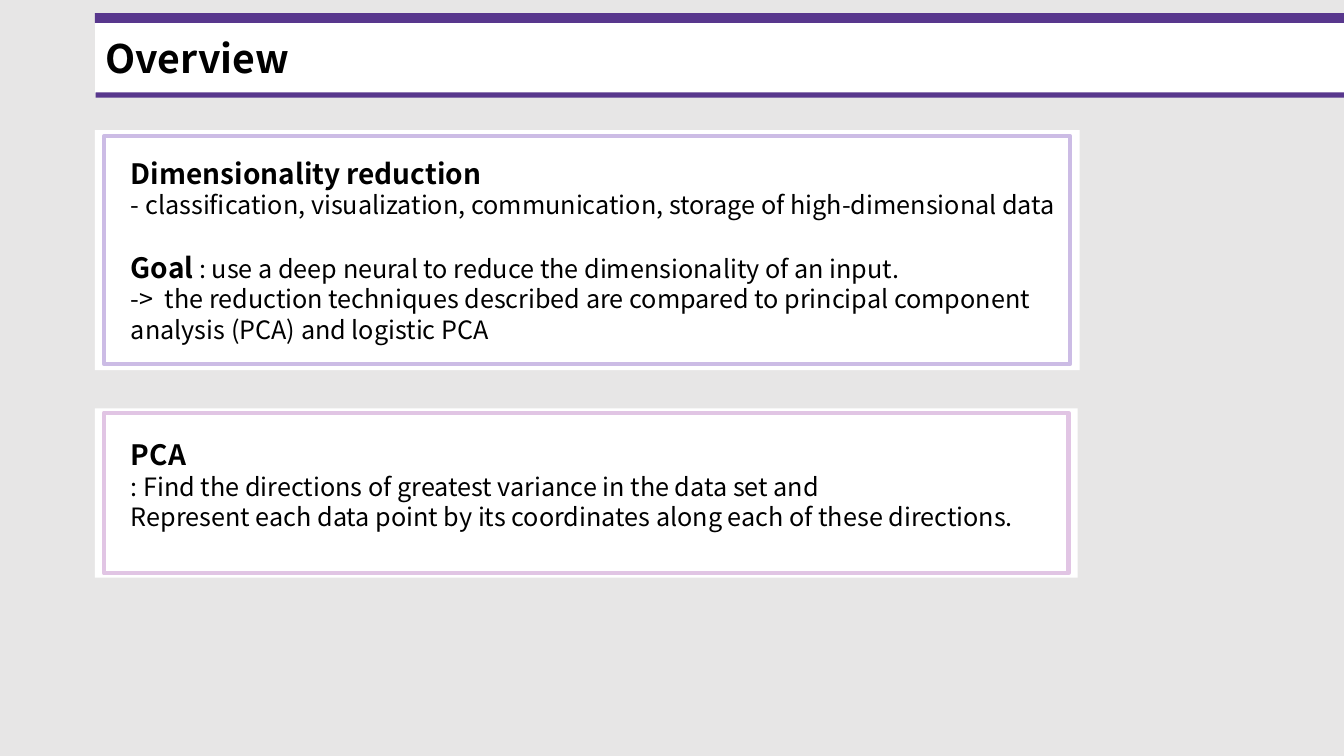
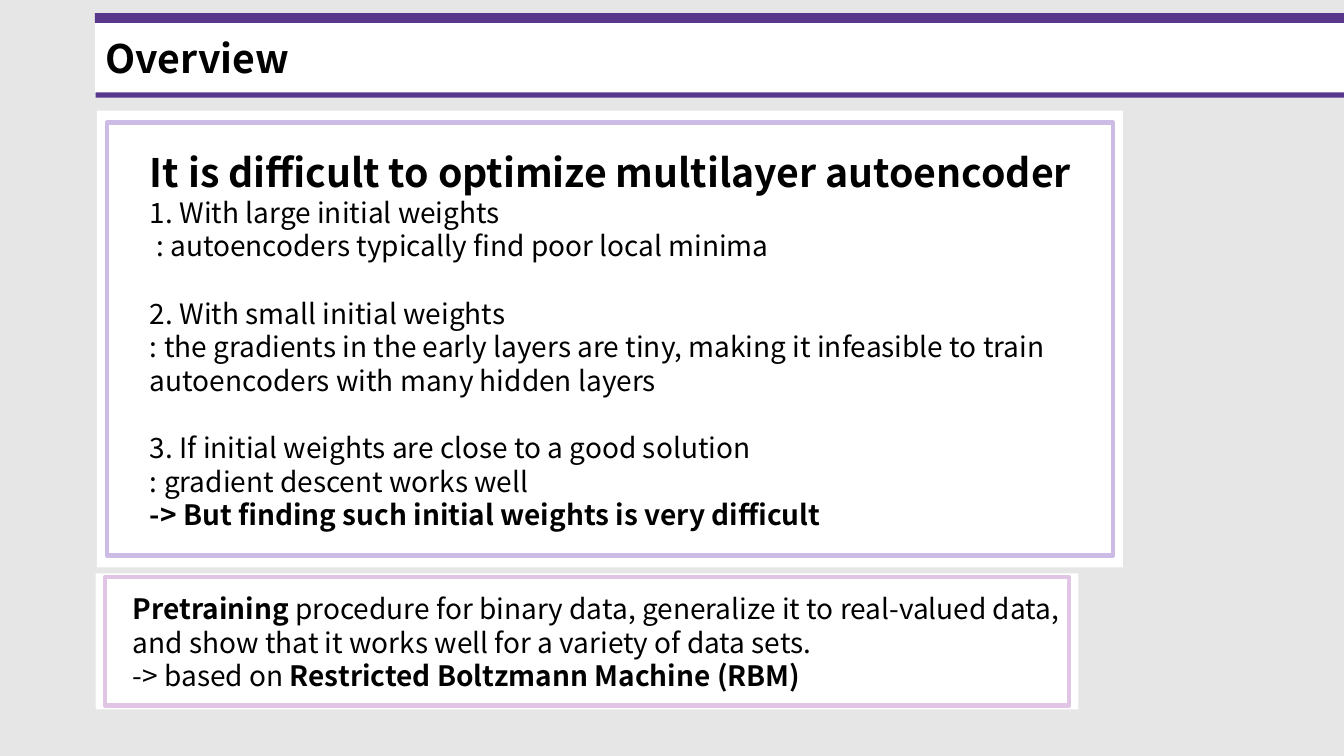
"""Build two overview slides on dimensionality reduction and autoencoders."""
from pptx import Presentation
from pptx.dml.color import RGBColor
from pptx.enum.shapes import MSO_SHAPE
from pptx.util import Cm, Pt

FONT = "Noto Sans CJK KR"
BACKGROUND = RGBColor(0xE7, 0xE6, 0xE6)
WHITE = RGBColor(0xFF, 0xFF, 0xFF)
BLACK = RGBColor(0x00, 0x00, 0x00)
PURPLE = RGBColor(0x58, 0x37, 0x8D)
LILAC = RGBColor(0xCC, 0xBC, 0xE5)
PINK = RGBColor(0xE1, 0xC5, 0xE4)
SLIDE_WIDTH, SLIDE_HEIGHT = 33.87, 19.05

SLIDES = [
    [
        {
            "panel": (2.39, 3.28, 24.82, 6.05), "inset": (0.24, 0.15), "border": LILAC,
            "text": (3.05, 3.81, 24.08, 5.82),
            "lines": [
                (0, [("Dimensionality reduction", 20, True)]),
                (0, [("- classification, visualization, communication, storage of high-dimensional data", 18, False)]),
                (21.5, [("Goal", 20, True),
                        (" : use a deep neural to reduce the dimensionality of an input.", 18, False)]),
                (0, [("->  the reduction techniques described are compared to principal component "
                      "analysis (PCA) and logistic PCA", 18, False)]),
            ],
        },
        {
            "panel": (2.39, 10.29, 24.77, 4.27), "inset": (0.23, 0.11), "border": PINK,
            "text": (3.05, 10.9, 24.08, 3.43),
            "lines": [
                (0, [("PCA", 20, True)]),
                (0, [(": Find the directions of greatest variance in the data set and", 18, False)]),
                (0, [("Represent each data point by its coordinates along each of these directions.", 18, False)]),
            ],
        },
    ],
    [
        {
            "panel": (2.44, 2.79, 25.86, 11.51), "inset": (0.25, 0.3), "border": LILAC,
            "text": (3.53, 3.61, 24.82, 11.18),
            "lines": [
                (0, [("It is difficult to optimize multilayer autoencoder", 28, True)]),
                (0, [("1. With large initial weights", 20, False)]),
                (0, [(" : autoencoders typically find poor local minima", 20, False)]),
                (24, [("2. With small initial weights", 20, False)]),
                (0, [(": the gradients in the early layers are tiny, making it infeasible to train "
                      "autoencoders with many hidden layers", 20, False)]),
                (24, [("3. If initial weights are close to a good solution", 20, False)]),
                (0, [(": gradient descent works well", 20, False)]),
                (0, [("-> But finding such initial weights is very difficult", 20, True)]),
            ],
        },
        {
            "panel": (2.41, 14.45, 24.77, 3.43), "inset": (0.23, 0.1), "border": PINK,
            "text": (3.1, 14.78, 24.08, 3.58),
            "lines": [
                (0, [("Pretraining", 20, True),
                     (" procedure for binary data, generalize it to real-valued data, "
                      "and show that it works well for a variety of data sets.", 20, False)]),
                (0, [("-> based on ", 20, False), ("Restricted Boltzmann Machine (RBM)", 20, True)]),
            ],
        },
    ],
]


def add_box(slide, area, fill, border=None, border_width=3):
    box = slide.shapes.add_shape(MSO_SHAPE.RECTANGLE, *map(Cm, area))
    box.shadow.inherit = False
    box.fill.solid()
    box.fill.fore_color.rgb = fill
    if border is None:
        box.line.fill.background()
    else:
        box.line.color.rgb = border
        box.line.width = Pt(border_width)


def add_text(slide, area, lines):
    frame = slide.shapes.add_textbox(*map(Cm, area)).text_frame
    frame.word_wrap = True
    for index, (gap, runs) in enumerate(lines):
        paragraph = frame.paragraphs[0] if index == 0 else frame.add_paragraph()
        paragraph.space_before = Pt(gap)
        paragraph.font.name = FONT
        paragraph.font.color.rgb = BLACK
        for words, size, bold in runs:
            run = paragraph.add_run()
            run.text = words
            font = paragraph.font if len(runs) == 1 else run.font
            font.size = Pt(size)
            font.bold = bold


deck = Presentation()
deck.slide_width, deck.slide_height = Cm(SLIDE_WIDTH), Cm(SLIDE_HEIGHT)

for cards in SLIDES:
    slide = deck.slides.add_slide(deck.slide_layouts[6])
    slide.background.fill.solid()
    slide.background.fill.fore_color.rgb = BACKGROUND

    add_box(slide, (2.41, 0.53, SLIDE_WIDTH - 2.41, 1.8), WHITE, WHITE, 1)
    add_text(slide, (2.41, 0.74, 26.77, 1.45), [(0, [("Overview", 28, True)])])
    add_box(slide, (2.39, 0.33, SLIDE_WIDTH - 2.39, 0.25), PURPLE)
    add_box(slide, (2.41, 2.33, SLIDE_WIDTH - 2.41, 0.13), PURPLE)

    for card in cards:
        left, top, width, height = card["panel"]
        dx, dy = card["inset"]
        add_box(slide, card["panel"], WHITE)
        add_box(slide, (left + dx, top + dy, width - 2 * dx, height - 2 * dy), WHITE, card["border"])
        add_text(slide, card["text"], card["lines"])

deck.save("out.pptx")
